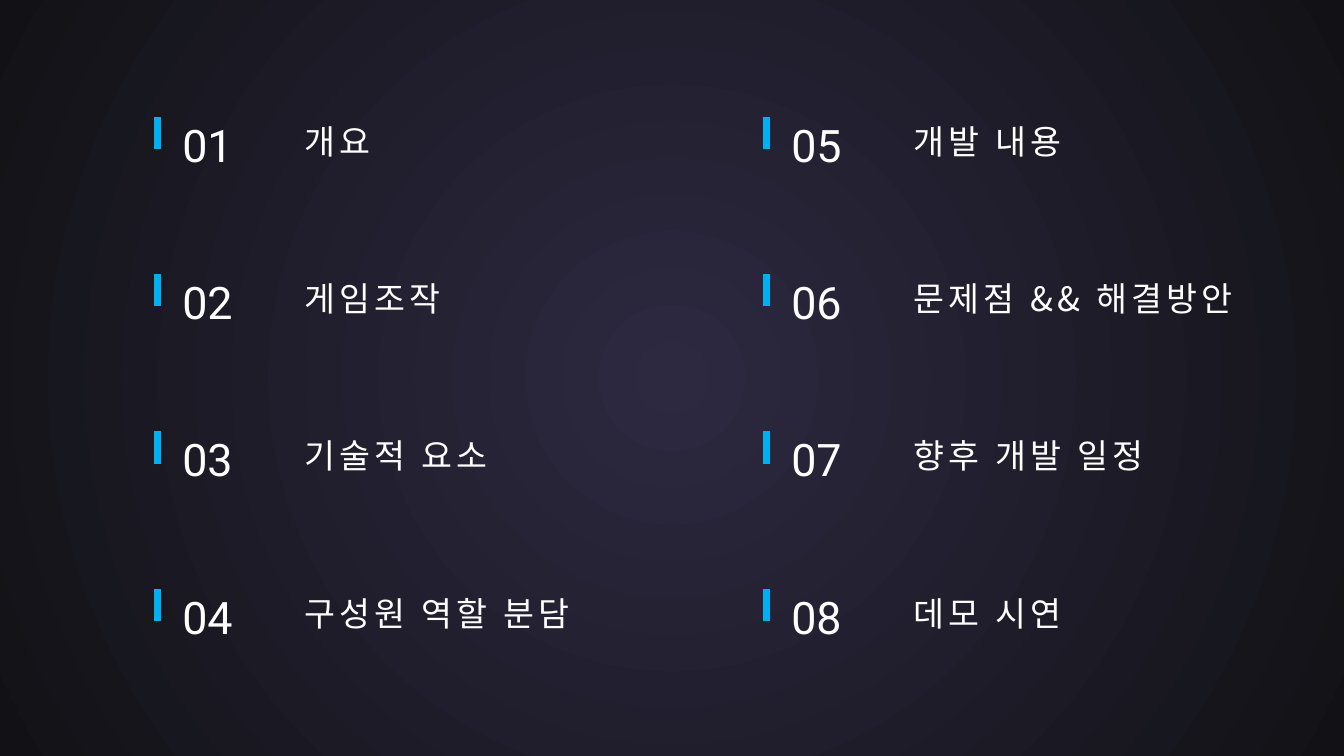
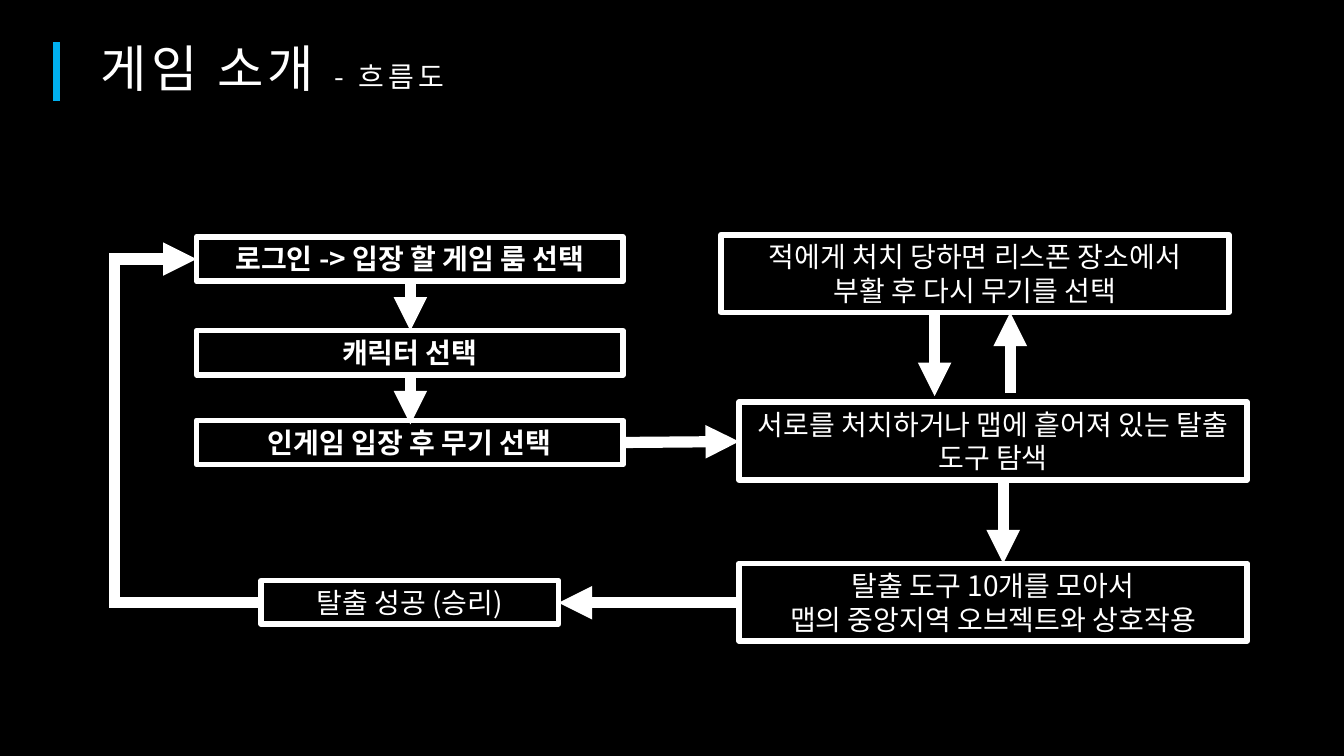
from lxml import etree
from pptx import Presentation
from pptx import util as u
from pptx.dml import color
from pptx.enum import shapes, text
from pptx.oxml import ns

PX = 9144
WIDTH, HEIGHT = 1333, 750
WHITE, BLACK, ACCENT = "FFFFFF", "000000", "00B0F0"
GLOW, EDGE = "2D2941", "121216"
KOREAN, LATIN = "Noto Sans CJK KR", "Roboto"

TOPICS = [
    "개요", "게임조작", "기술적 요소", "구성원 역할 분담",
    "개발 내용", "문제점 && 해결방안", "향후 개발 일정", "데모 시연",
]
ROWS, COLUMN_STEP, ROW_STEP = 4, 604, 156

MAIN_STEPS = [
    (235, "로그인 -> 입장 할 게임 룸 선택"),
    (328, "캐릭터 선택"),
    (417, "인게임 입장 후 무기 선택"),
]
PLAY_STEPS = [
    (715, 233, 504, 77, ["적에게 처치 당하면 리스폰 장소에서", "부활 후 다시 무기를 선택"]),
    (733, 399, 504, 77, ["서로를 처치하거나 맵에 흩어져 있는 탈출 도구 탐색"]),
    (733, 559, 504, 77, ["탈출 도구 10개를 모아서", "맵의 중앙지역 오브젝트와 상호작용"]),
    (259, 576, 295, 43, ["탈출 성공 (승리)"]),
]
ARROWS = [
    (407, 278, 407, 328),
    (407, 372, 407, 421),
    (618, 439, 733, 438),
    (927, 313, 927, 393),
    (1002, 390, 1002, 310),
    (995, 477, 995, 559),
    (733, 598, 554, 598),
]


def rgb(value):
    return color.RGBColor.from_string(value)


def px(*values):
    return [u.Emu(value * PX) for value in values]


def apply(target, values):
    for name, value in values.items():
        setattr(target, name, value)


def child(parent, tag, **attributes):
    return etree.SubElement(parent, ns.qn(tag), attributes)


class Deck:
    """Holds the shared style and the current slide."""

    def __init__(self):
        self.prs = Presentation()
        apply(self.prs, dict(zip(("slide_width", "slide_height"), px(WIDTH, HEIGHT))))
        self.s = None

    def slide(self):
        self.s = self.prs.slides.add_slide(self.prs.slide_layouts[6])
        fill = self.s.background.fill
        fill.solid()
        fill.fore_color.rgb = rgb(BLACK)

    def rect(self, x, y, w, h):
        sp = self.s.shapes.add_shape(shapes.MSO_SHAPE.RECTANGLE, *px(x, y, w, h))
        sp.shadow.inherit = False
        return sp

    def glow(self):
        sp = self.rect(0, 0, WIDTH, HEIGHT)
        sp.line.fill.background()
        sp.fill.gradient()
        for stop, tone in zip(sp.fill.gradient_stops, (GLOW, EDGE)):
            stop.color.rgb = rgb(tone)
        grad = sp.element.spPr.find(ns.qn("a:gradFill"))
        grad.remove(grad.find(ns.qn("a:lin")))
        center = child(grad, "a:path", path="circle")
        child(center, "a:fillToRect", l="50000", t="50000", r="50000", b="50000")

    def run(self, p, words, size, font=KOREAN, bold=False):
        r = p.add_run()
        r.text = words
        apply(r.font, {"name": font, "size": u.Pt(size), "bold": bold})
        r.font.color.rgb = rgb(WHITE)

    def set_script(self, sp, font=KOREAN, spacing=0):
        for props in sp.element.iter(ns.qn("a:rPr")):
            child(props, "a:ea", typeface=font)
            if spacing:
                props.set("spc", str(spacing * 100))

    def label(self, x, y, w, h, runs, paragraph, anchor=text.MSO_ANCHOR.TOP,
              font=KOREAN, spacing=0):
        sp = self.s.shapes.add_textbox(*px(x, y, w, h))
        tf = sp.text_frame
        apply(tf, {"word_wrap": True, "vertical_anchor": anchor})
        p = tf.paragraphs[0]
        apply(p, paragraph)
        for words, size in runs:
            self.run(p, words, size, font)
        self.set_script(sp, font, spacing)

    def box(self, x, y, w, h, lines, bold=False):
        sp = self.rect(x, y, w, h)
        sp.fill.background()
        sp.line.color.rgb = rgb(WHITE)
        sp.line.width = u.Pt(4)
        tf = sp.text_frame
        apply(tf, {
            "word_wrap": True,
            "vertical_anchor": text.MSO_ANCHOR.TOP,
            "auto_size": text.MSO_AUTO_SIZE.SHAPE_TO_FIT_TEXT,
        })
        for i, words in enumerate(lines):
            p = tf.add_paragraph() if i else tf.paragraphs[0]
            p.alignment = text.PP_ALIGN.CENTER
            self.run(p, words, 20, bold=bold)
        self.set_script(sp)

    def line(self, ends, tone, width, kind=shapes.MSO_CONNECTOR.STRAIGHT):
        link = self.s.shapes.add_connector(kind, *px(*ends))
        link.line.color.rgb = rgb(tone)
        link.line.width = u.Pt(width)
        child(link.element.spPr, "a:effectLst")
        return link

    def bar(self, x, top, bottom):
        self.line((x, bottom, x, top), ACCENT, 5.25)

    def arrow(self, *ends, kind=shapes.MSO_CONNECTOR.STRAIGHT):
        link = self.line(ends, WHITE, 8, kind)
        ln = link.element.spPr.find(ns.qn("a:ln"))
        child(ln, "a:miter", lim="800000")
        child(ln, "a:tailEnd", type="triangle")
        return link

    def return_arrow(self, left, top, right, bottom, bend):
        link = self.arrow(left, top, right, bottom, kind=shapes.MSO_CONNECTOR.ELBOW)
        props = link.element.spPr
        props.find(ns.qn("a:xfrm")).set("rot", "10800000")
        guides = props.find(ns.qn("a:prstGeom")).find(ns.qn("a:avLst"))
        child(guides, "a:gd", name="adj1", fmla=f"val {bend}")

    def title(self, heading, detail):
        self.label(90, 20, 418, 101, [(heading, 36), (detail, 20)],
                   {"line_spacing": 0.9}, text.MSO_ANCHOR.MIDDLE, spacing=3)
        self.bar(56, 42, 100)


def contents(deck):
    deck.slide()
    deck.glow()
    for i, topic in enumerate(TOPICS):
        column, row = divmod(i, ROWS)
        x, y = 156 + column * COLUMN_STEP, 116 + row * ROW_STEP
        deck.bar(x, y, y + 32)
        deck.label(x + 136, y - 21, 385, 64, [(topic, 24)], {"line_spacing": 1.5}, spacing=3)
        deck.label(x + 15, y - 31, 144, 125, [(f"{i + 1:02d}", 32)],
                   {"line_spacing": 1.5, "space_before": u.Pt(10)}, font=LATIN)


def flowchart(deck):
    deck.slide()
    deck.title("게임 소개 ", "- 흐름도")
    for y, words in MAIN_STEPS:
        deck.box(195, y, 423, 44, [words], bold=True)
    for step in PLAY_STEPS:
        deck.box(*step)
    for ends in ARROWS:
        deck.arrow(*ends)
    deck.return_arrow(195, 257, 259, 598, 227200)


def main():
    deck = Deck()
    contents(deck)
    flowchart(deck)
    deck.prs.save("out.pptx")


if __name__ == "__main__":
    main()
